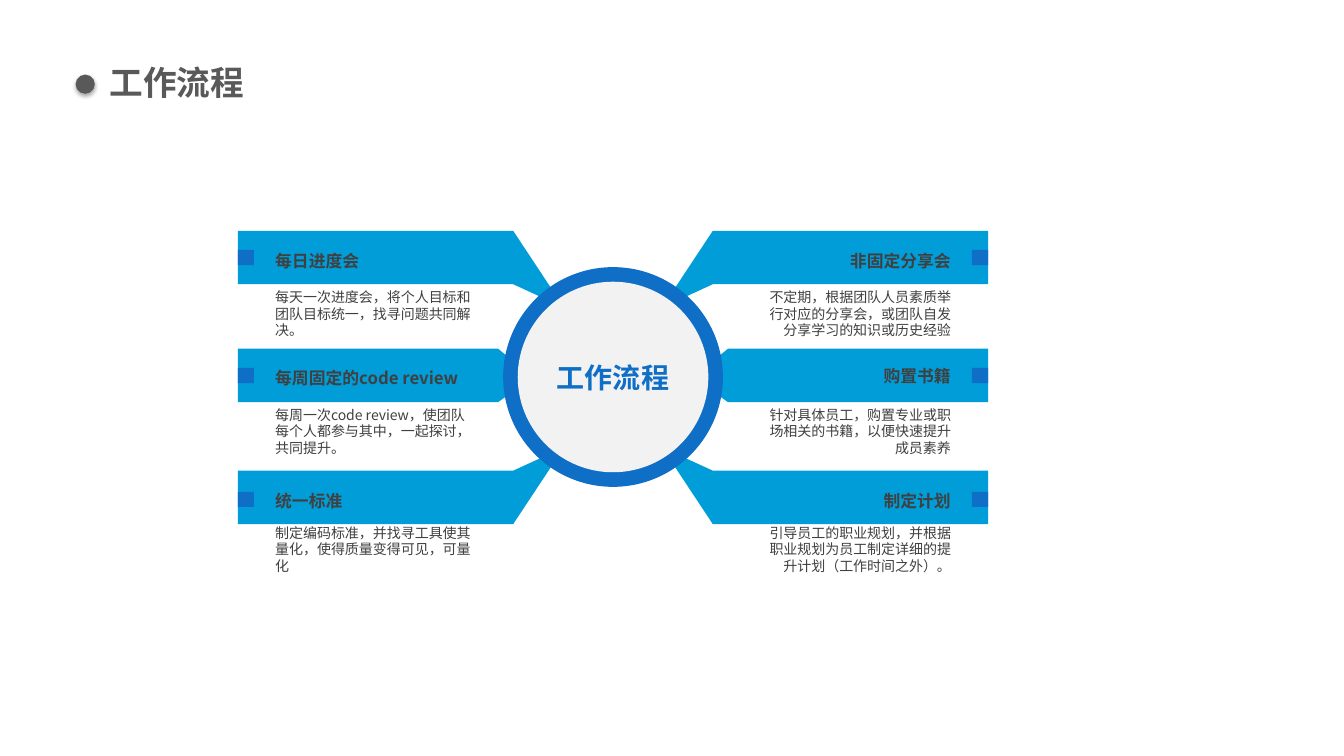
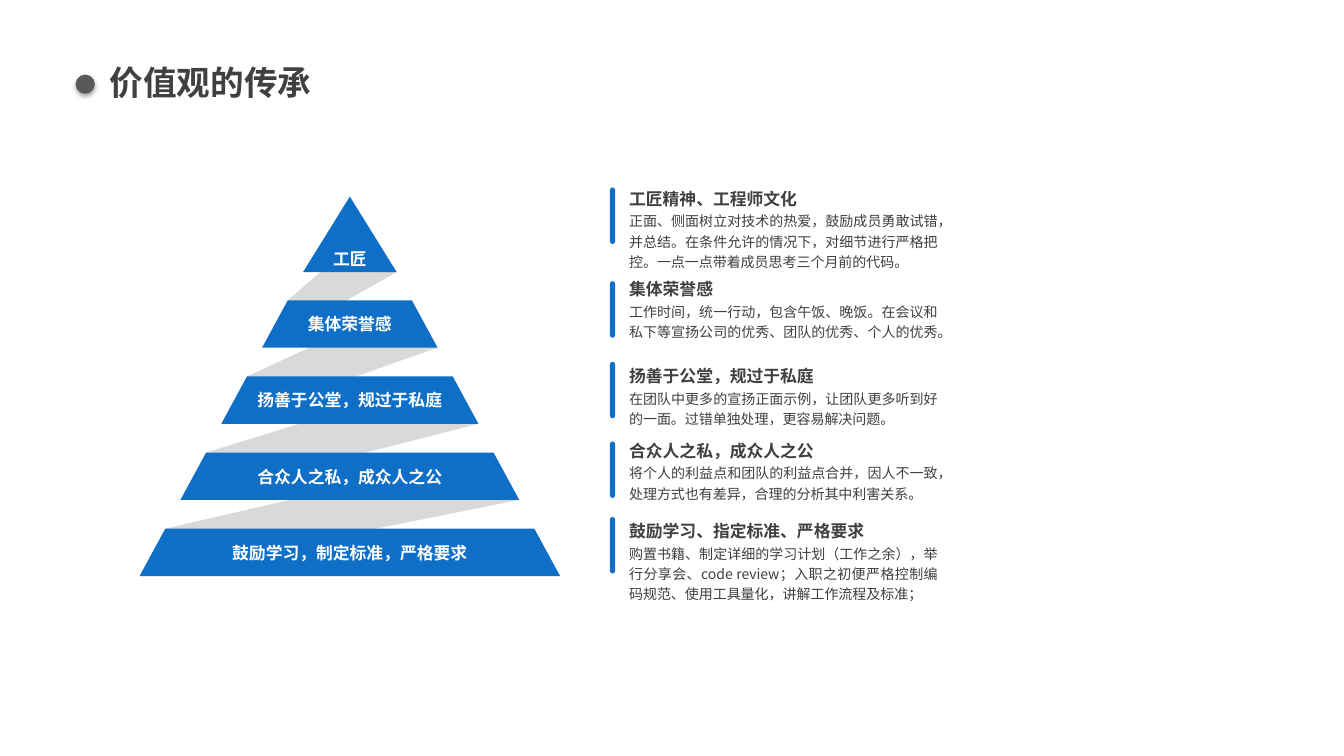
import pptx
import pptx.dml.color
import pptx.enum.shapes
import pptx.enum.text
import pptx.oxml
import pptx.oxml.ns
import pptx.util

Inches = pptx.util.Inches
Pt = pptx.util.Pt
SHAPE = pptx.enum.shapes.MSO_SHAPE
ALIGN = pptx.enum.text.PP_ALIGN
ANCHOR = pptx.enum.text.MSO_ANCHOR

COLORS = {
    "blue": "0F6FC6",
    "sky": "009DD9",
    "ribbon": "D9D9D9",
    "disc": "F2F2F2",
    "text": "404040",
    "gray": "595959",
    "white": "FFFFFF",
}
FONT = "Noto Sans CJK SC"

# Text styles: font values, and margins as (horizontal, vertical)
STYLES = {
    "title": {"size": 24, "bold": True, "margins": (0.1, 0.05)},
    "hub": {"size": 20, "bold": True, "color": "blue", "align": ALIGN.CENTER,
            "anchor": ANCHOR.MIDDLE, "margins": (0.1, 0.05)},
    "arm_heading": {"size": 12, "bold": True, "margins": (0, 0.05)},
    "arm_body": {"size": 10, "anchor": ANCHOR.MIDDLE, "margins": (0, 0.05)},
    "layer": {"size": 12, "bold": True, "color": "white", "align": ALIGN.CENTER,
              "anchor": ANCHOR.MIDDLE, "margins": (0, 0)},
    "note_heading": {"size": 12, "bold": True, "margins": (0.04, 0.02)},
    "note_body": {"size": 10, "align": ALIGN.JUSTIFY, "leading": 1.44,
                  "margins": (0.04, 0.02)},
}

BULLET_SHADOW = (
    '<a:effectLst xmlns:a="http://schemas.openxmlformats.org/drawingml/2006/main">'
    '<a:outerShdw blurRad="39370" dist="22860" dir="5400000" rotWithShape="0">'
    '<a:srgbClr val="000000"><a:alpha val="35000"/></a:srgbClr>'
    '</a:outerShdw></a:effectLst>'
)

# Workflow slide: mirrored arms around a hub
HUB_X, HUB_Y = 6.08, 3.74
ARM_LEFT, ARM_HEIGHT = 2.36, 0.53
ARM_ROWS = [
    {"top": 2.29, "inner": 5.09, "tip": [(5.52, 2.94), (5.46, 2.99)],
     "marker": 2.48, "body": 3.04},
    {"top": 3.46, "inner": 4.94, "tip": [(5.22, 3.69), (5.22, 3.79)],
     "marker": 3.65, "body": 4.21},
    {"top": 4.67, "inner": 5.09, "tip": [(5.46, 4.5), (5.52, 4.55)],
     "marker": 4.88, "body": 5.38},
]
LEFT_ARMS = [
    (2.44, "每日进度会", "每天一次进度会，将个人目标和团队目标统一，找寻问题共同解决。"),
    (3.6, "每周固定的code review",
     "每周一次code review，使团队每个人都参与其中，一起探讨，共同提升。"),
    (4.82, "统一标准", "制定编码标准，并找寻工具使其量化，使得质量变得可见，可量化"),
]
RIGHT_ARMS = [
    (2.44, "非固定分享会", "不定期，根据团队人员素质举行对应的分享会，或团队自发分享学习的知识或历史经验"),
    (3.58, "购置书籍", "针对具体员工，购置专业或职场相关的书籍，以便快速提升成员素养"),
    (4.82, "制定计划", "引导员工的职业规划，并根据职业规划为员工制定详细的提升计划（工作时间之外）。"),
]

# Values slide: pyramid and notes
PYRAMID_X = 3.47
PEAK = "工匠"
LAYERS = ["集体荣誉感", "扬善于公堂，规过于私庭", "合众人之私，成众人之公",
          "鼓励学习，制定标准，严格要求"]
NOTES = [
    (1.86, 1.85, "工匠精神、工程师文化",
     "正面、侧面树立对技术的热爱，鼓励成员勇敢试错，并总结。在条件允许的情况下，对细节进行严格把控。一点一点带着成员思考三个月前的代码。"),
    (2.79, 2.75, "集体荣誉感",
     "工作时间，统一行动，包含午饭、晚饭。在会议和私下等宣扬公司的优秀、团队的优秀、个人的优秀。"),
    (3.59, 3.61, "扬善于公堂，规过于私庭",
     "在团队中更多的宣扬正面示例，让团队更多听到好的一面。过错单独处理，更容易解决问题。"),
    (4.38, 4.35, "合众人之私，成众人之公",
     "将个人的利益点和团队的利益点合并，因人不一致，处理方式也有差异，合理的分析其中利害关系。"),
    (5.13, 5.15, "鼓励学习、指定标准、严格要求",
     "购置书籍、制定详细的学习计划（工作之余），举行分享会、code review；入职之初便严格控制编码规范、使用工具量化，讲解工作流程及标准；"),
]


def rgb(color):
    return pptx.dml.color.RGBColor.from_string(COLORS[color])


def paint(shape, color):
    shape.shadow.inherit = False
    shape.fill.solid()
    shape.fill.fore_color.rgb = rgb(color)
    shape.line.fill.background()
    return shape


def add_block(slide, preset, left, top, width, height, color):
    box = [Inches(v) for v in (left, top, width, height)]
    return paint(slide.shapes.add_shape(preset, *box), color)


def add_polygon(slide, points, color):
    start, *rest = [(Inches(x), Inches(y)) for x, y in points]
    outline = slide.shapes.build_freeform(*start)
    outline.add_line_segments(rest, close=True)
    return paint(outline.convert_to_shape(), color)


def write(shape, text, style, **changes):
    look = {**STYLES[style], **changes}
    frame = shape.text_frame
    side, edge = (Inches(v) for v in look["margins"])
    frame_format = {
        "word_wrap": True,
        "vertical_anchor": look.get("anchor", ANCHOR.TOP),
        "margin_left": side, "margin_right": side,
        "margin_top": edge, "margin_bottom": edge,
    }
    paragraph = frame.paragraphs[0]
    paragraph_format = {
        "alignment": look.get("align", ALIGN.LEFT),
        "line_spacing": Pt(look["size"] * look.get("leading", 1.2)),
    }
    run = paragraph.add_run()
    run.text = text
    font_format = {
        "size": Pt(look["size"]),
        "bold": look.get("bold", False),
        "name": look.get("font", FONT),
    }
    for target, values in ((frame, frame_format), (paragraph, paragraph_format),
                           (run.font, font_format)):
        for name, value in values.items():
            setattr(target, name, value)
    run.font.color.rgb = rgb(look.get("color", "text"))
    # East Asian typeface
    east_asian = pptx.oxml.ns.qn("a:ea")
    run.font._element.makeelement(east_asian)
    typeface = run.font._element.makeelement(east_asian, {"typeface": FONT})
    run.font._element.append(typeface)


def add_label(slide, left, top, width, height, text, style, **changes):
    box = [Inches(v) for v in (left, top, width, height)]
    write(slide.shapes.add_textbox(*box), text, style, **changes)


def add_titled_slide(deck, title, **changes):
    slide = deck.slides.add_slide(deck.slide_layouts[6])
    add_label(slide, 0.99, 0.57, 8.91, 0.5, title, "title", **changes)
    bullet = add_block(slide, SHAPE.OVAL, 0.75, 0.74, 0.19, 0.19, "gray")
    properties = bullet._element.spPr
    properties.remove(properties.find(pptx.oxml.ns.qn("a:effectLst")))
    properties.append(pptx.oxml.parse_xml(BULLET_SHADOW))
    return slide


def add_arm(slide, row, content, mirrored):
    heading_top, heading, body = content

    def place(left, width):
        return 2 * HUB_X - left - width if mirrored else left

    # Bar, tip towards the hub, and end marker
    top, inner = row["top"], row["inner"]
    length = inner - ARM_LEFT
    add_block(slide, SHAPE.RECTANGLE, place(ARM_LEFT, length), top, length,
              ARM_HEIGHT, "sky")
    tip = [(inner, top), *row["tip"], (inner, top + ARM_HEIGHT)]
    if row["tip"][0][1] < top:
        tip = [(inner, top), *row["tip"], (inner, top + ARM_HEIGHT)]
    add_polygon(slide, [(place(x, 0), y) for x, y in tip], "sky")
    add_block(slide, SHAPE.RECTANGLE, place(ARM_LEFT, 0.16), row["marker"],
              0.16, 0.15, "blue")

    # Heading and description
    align = ALIGN.RIGHT if mirrored else ALIGN.LEFT
    body_width = 1.84 if mirrored else 1.95
    add_label(slide, place(2.73, 2.14), heading_top, 2.14, 0.31, heading,
              "arm_heading", align=align)
    add_label(slide, place(2.73, body_width), row["body"], body_width, 0.14,
              body, "arm_body", align=align)


def add_hub(slide, text):
    for diameter, color in ((2.18, "blue"), (1.89, "disc")):
        hub = add_block(slide, SHAPE.OVAL, HUB_X - diameter / 2,
                        HUB_Y - diameter / 2, diameter, diameter, color)
    write(hub, text, "hub")


def add_pyramid(slide):
    # Each layer: top, bottom, half width at top and at bottom
    layers = [(2.98 + 0.755 * i, 3.45 + 0.755 * i,
               0.615 + 0.405 * i, 0.87 + 0.405 * i) for i in range(len(LAYERS))]

    # Ribbons run from the right of one layer to the left of the next
    starts = [((PYRAMID_X + 0.19, 2.28), (PYRAMID_X + 0.465, 2.7))]
    starts += [((PYRAMID_X + upper, top), (PYRAMID_X + lower, bottom))
               for top, bottom, upper, lower in layers[:-1]]
    for (start, end), (top, bottom, upper, lower) in zip(starts, layers):
        add_polygon(slide, [start, (PYRAMID_X - upper, top),
                            (PYRAMID_X - lower, bottom), end], "ribbon")

    # Peak
    add_polygon(slide, [(PYRAMID_X, 1.95), (PYRAMID_X + 0.465, 2.7),
                        (PYRAMID_X - 0.465, 2.7)], "blue")
    add_label(slide, PYRAMID_X - 0.46, 2.37, 0.92, 0.39, PEAK, "layer")

    # Layers
    for (top, bottom, upper, lower), text in zip(layers, LAYERS):
        add_polygon(slide, [(PYRAMID_X - upper, top), (PYRAMID_X - lower, bottom),
                            (PYRAMID_X + lower, bottom), (PYRAMID_X + upper, top)],
                    "blue")
        add_label(slide, PYRAMID_X - upper, top + 0.04, 2 * upper, 0.39, text, "layer")


def add_note(slide, bar_top, heading_top, heading, body):
    bar = add_block(slide, SHAPE.ROUND_2_SAME_RECTANGLE, 6.05, bar_top, 0.05, 0.56,
                    "blue")
    for corner in range(2):
        bar.adjustments[corner] = 0.5
    add_label(slide, 6.2, heading_top, 3.14, 0.24, heading, "note_heading")
    add_label(slide, 6.2, heading_top + 0.21, 3.14, 0.64, body, "note_body")


def main():
    deck = pptx.Presentation()
    deck.slide_width, deck.slide_height = Inches(13.33), Inches(7.5)

    workflow = add_titled_slide(deck, "工作流程", font="Quicksand", color="gray")
    for contents, mirrored in ((LEFT_ARMS, False), (RIGHT_ARMS, True)):
        for row, content in zip(ARM_ROWS, contents):
            add_arm(workflow, row, content, mirrored)
    add_hub(workflow, "工作流程")

    values = add_titled_slide(deck, "价值观的传承")
    add_pyramid(values)
    for note in NOTES:
        add_note(values, *note)

    deck.save("out.pptx")


if __name__ == "__main__":
    main()
